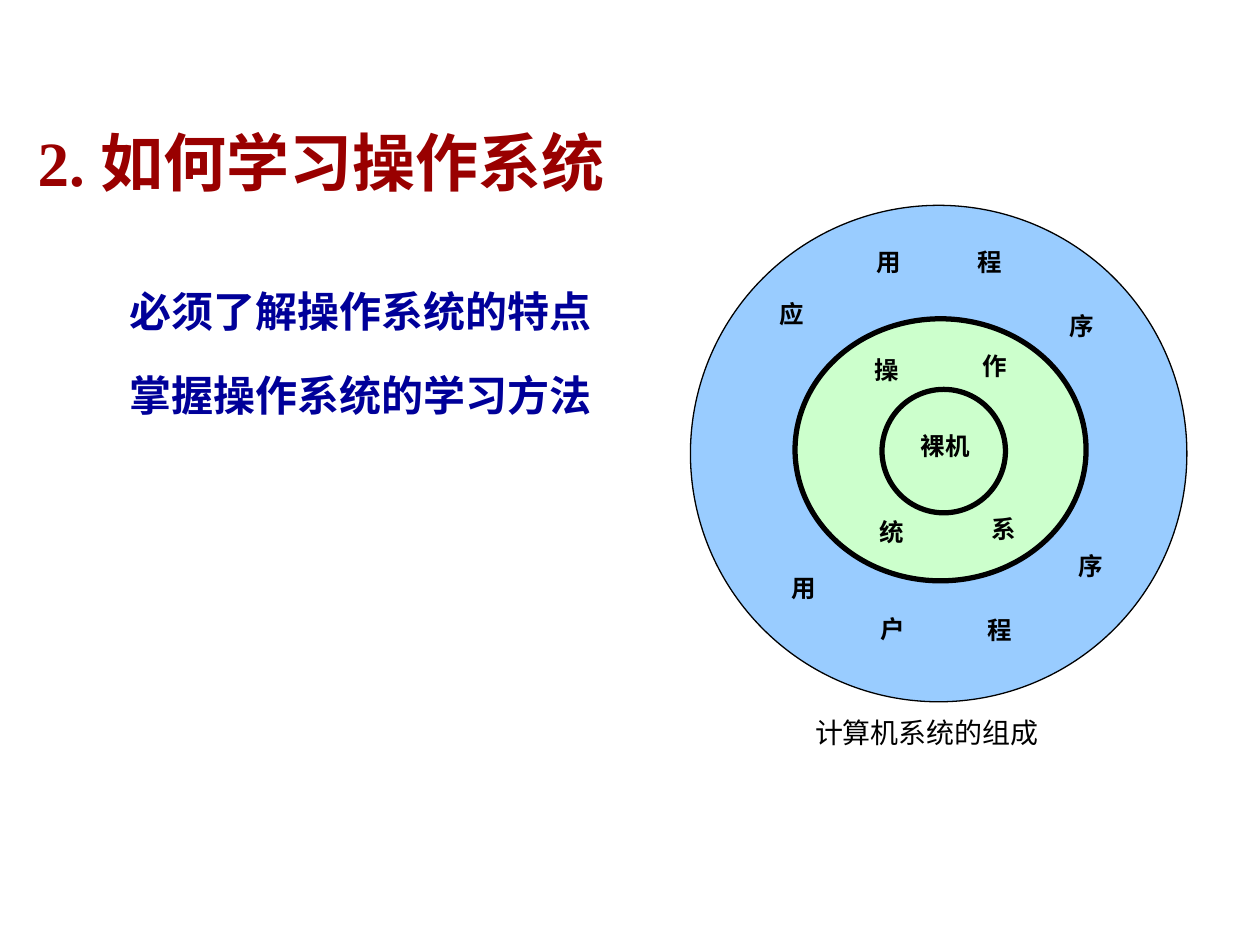
from pptx import Presentation
from pptx.dml.color import RGBColor
from pptx.enum.shapes import MSO_SHAPE
from pptx.enum.text import PP_ALIGN
from pptx.util import Inches, Pt

OVAL = MSO_SHAPE.OVAL
JUSTIFY = PP_ALIGN.JUSTIFY

COLORS = {"title": "990000", "point": "000099", "black": "000000",
          "outer": "99CCFF", "inner": "CCFFCC"}


class SlideBuilder:
    """Hold the text style and current slide, and add its elements."""

    font = "Times New Roman"

    def __init__(self, prs):
        self.slide = prs.slides.add_slide(prs.slide_layouts[6])

    def color(self, name):
        return RGBColor.from_string(COLORS[name])

    def text(self, box, runs, size, color="black", bold=True, indent=None,
             **paragraph_format):
        sp = self.slide.shapes.add_textbox(*map(Inches, box))
        tf = sp.text_frame
        tf.word_wrap = True
        for i, (text, before) in enumerate(runs):
            p = tf.add_paragraph() if i else tf.paragraphs[0]
            values = {"space_before": Pt(before), **paragraph_format}
            for name, value in values.items():
                setattr(p, name, value)
            if indent:
                left, first = indent
                pPr = p._p.get_or_add_pPr()
                pPr.set("marL", str(Inches(left)))
                pPr.set("indent", str(Inches(first)))
            r = p.add_run()
            r.text = text
            style = {"name": self.font, "size": Pt(size), "bold": bold}
            for name, value in style.items():
                setattr(r.font, name, value)
            r.font.color.rgb = self.color(color)

    def ring(self, box, fill, width):
        sp = self.slide.shapes.add_shape(OVAL, *map(Inches, box))
        sp.shadow.inherit = False
        sp.fill.solid()
        sp.fill.fore_color.rgb = self.color(fill)
        sp.line.color.rgb = self.color("black")
        sp.line.width = Pt(width)

    def label(self, text, left, top, width=0.35, height=0.35):
        self.text((left, top, width, height), [(text, 0)], 14,
                  alignment=JUSTIFY)


def main():
    prs = Presentation()
    prs.slide_width, prs.slide_height = Inches(10), Inches(7.5)
    s = SlideBuilder(prs)

    s.text((0.2, 0.75, 5.13, 0.88), [("2. 如何学习操作系统", 13.5)], 36,
           "title", indent=(0.58, -0.58), line_spacing=1.3)
    s.text((0.43, 2.1, 4.41, 1.98),
           [("必须了解操作系统的特点", 9), ("掌握操作系统的学习方法", 10.5)], 24,
           "point", indent=(1, -0.5), line_spacing=1.3, level=1)

    s.ring((5.48, 1.63, 3.94, 3.94), "outer", 0.75)
    s.ring((6.31, 2.53, 2.31, 2.08), "inner", 3)
    s.ring((7, 3.09, 0.98, 0.98), "inner", 3)

    s.label("裸机", 7.21, 3.37, 0.7, 0.44)
    arcs = {
        "操作": [(6.84, 2.77), (7.7, 2.74)],
        "系统": [(7.77, 4.03), (6.88, 4.05)],
        "应用程序": [(6.09, 2.32), (6.86, 1.91), (7.66, 1.91), (8.39, 2.42)],
        "用户程序": [(6.18, 4.5), (6.89, 4.82), (7.74, 4.83), (8.46, 4.32)],
    }
    for word, places in arcs.items():
        for char, (left, top) in zip(word, places):
            s.label(char, left, top)

    s.text((5.87, 5.55, 3.05, 0.45), [("计算机系统的组成", 6)], 16,
           bold=False, indent=(1, -0.5), line_spacing=1.3, level=1)
    prs.save("out.pptx")


if __name__ == "__main__":
    main()
